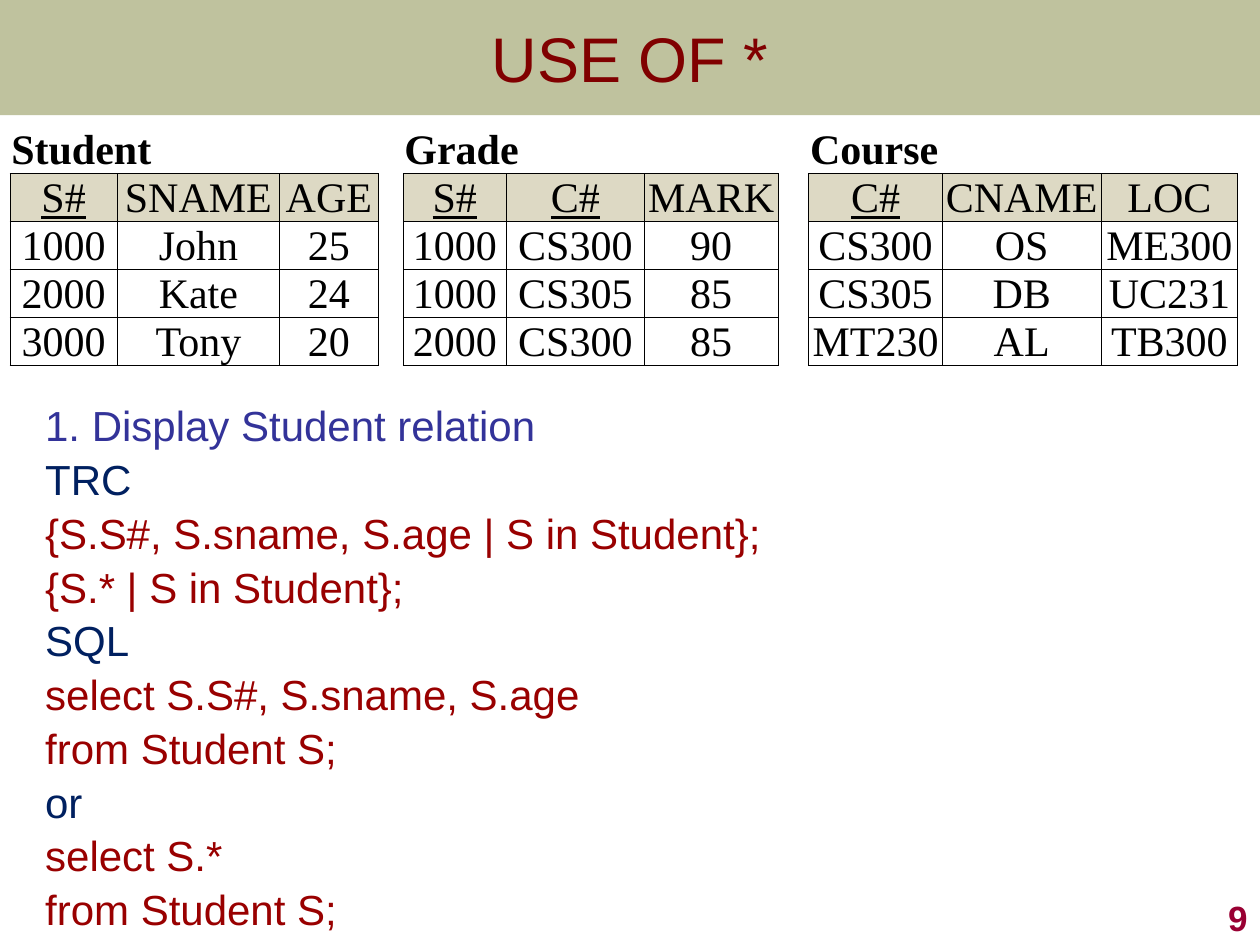
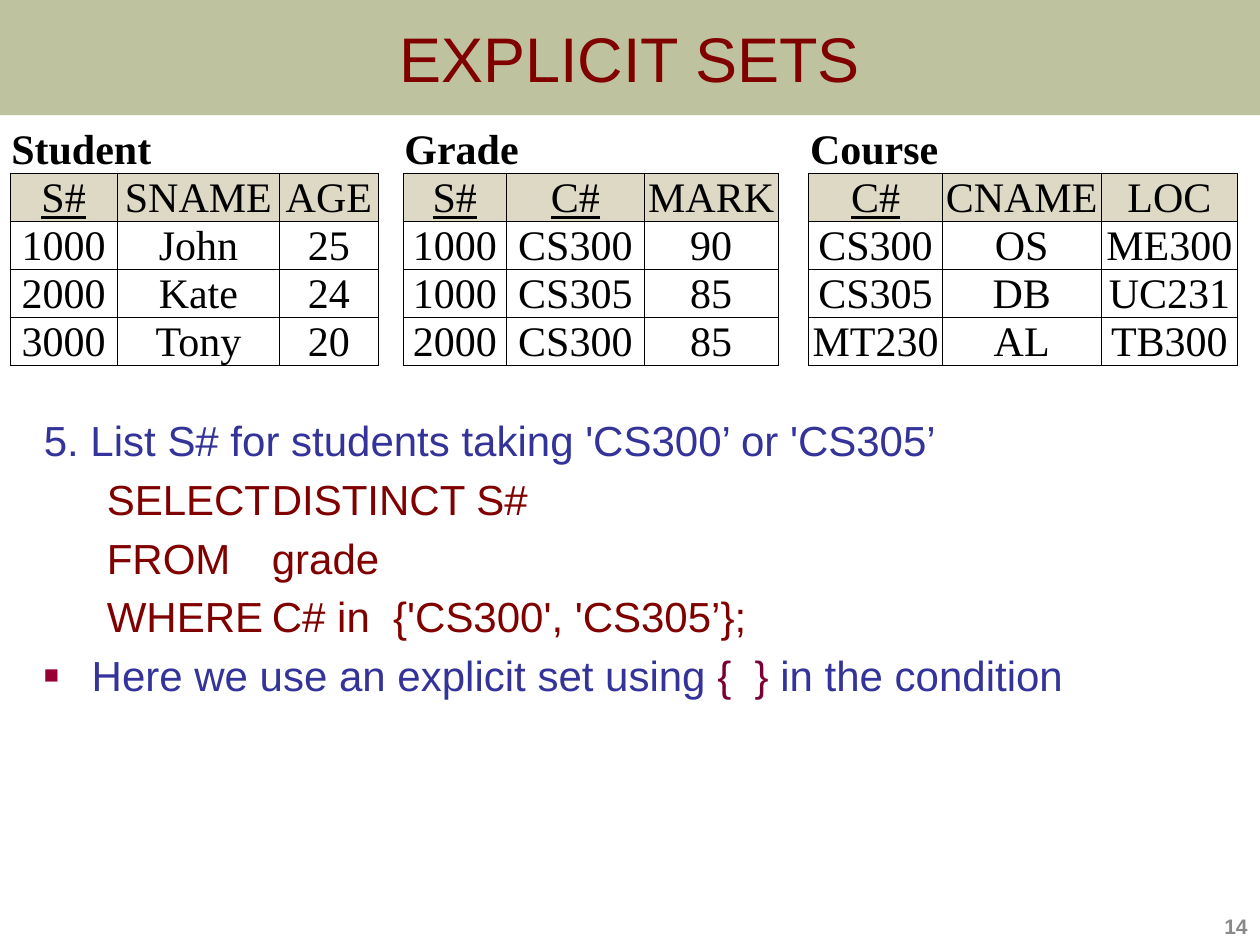
from lxml.etree import SubElement
from pptx import Presentation
from pptx.dml.color import RGBColor
from pptx.enum.shapes import MSO_SHAPE
from pptx.enum.text import MSO_ANCHOR, PP_ALIGN
from pptx.oxml.ns import qn
from pptx.util import Inches, Pt

WIDTH, HEIGHT = Inches(10), Inches(7.5)
COLORS = {
    "band": "6E7524", "title": "800000", "question": "333399",
    "language": "002060", "code": "990000", "braces": "790033",
    "accent": "990033", "muted": "898989", "header": "DDD9C4",
    "paper": "FFFFFF", "ink": "000000",
}
BODY_FONT, TABLE_FONT = "Arial", "Times New Roman"
BODY_SIZE = 24
BODY_GAP = 0.2 * BODY_SIZE

COLUMNS = [8.5, 12.9, 7.8, 2, 8.2, 10.95, 10.6, 2.45, 10.6, 12.6, 10.85]
ROW_HEIGHT = Inches(0.38)
ROW_LINE = Pt(26)
RELATIONS = [
    ("Student", ["S#"], [
        ["S#", "SNAME", "AGE"],
        ["1000", "John", "25"],
        ["2000", "Kate", "24"],
        ["3000", "Tony", "20"]]),
    ("Grade", ["S#", "C#"], [
        ["S#", "C#", "MARK"],
        ["1000", "CS300", "90"],
        ["1000", "CS305", "85"],
        ["2000", "CS300", "85"]]),
    ("Course", ["C#"], [
        ["C#", "CNAME", "LOC"],
        ["CS300", "OS", "ME300"],
        ["CS305", "DB", "UC231"],
        ["MT230", "AL", "TB300"]]),
]

STAR_LINES = [
    ("question", "1. Display Student relation"),
    ("language", "TRC"),
    ("code", "{S.S#, S.sname, S.age | S in Student};"),
    ("code", "{S.* | S in Student};"),
    ("language", "SQL"),
    ("code", "select S.S#, S.sname, S.age"),
    ("code", "from Student S;"),
    ("language", "or"),
    ("code", "select S.*"),
    ("code", "from Student S;"),
]
SET_QUESTION = "5. List S# for students taking 'CS300’ or 'CS305’"
SET_QUERY = [
    "SELECT\tDISTINCT S#",
    "FROM\tgrade",
    "WHERE\tC# in  {'CS300', 'CS305’};",
]
SET_REMARK = [
    ("question", "Here we use an explicit set using "),
    ("braces", "{  } "),
    ("question", "in the condition"),
]


def color(name):
    return RGBColor.from_string(COLORS[name])


def place(left, top, width, height):
    return (int(WIDTH * left / 100), int(HEIGHT * top / 100),
            int(WIDTH * width / 100), int(HEIGHT * height / 100))


def style(font, size, name, face=BODY_FONT, bold=False):
    font.size, font.name, font.bold = Pt(size), face, bold
    font.color.rgb = color(name)


def add_title(page, text):
    band = page.shapes.add_shape(MSO_SHAPE.RECTANGLE, *place(0, 0, 100, 12.2))
    band.shadow.inherit = False
    band.line.fill.background()
    band.fill.solid()
    band.fill.fore_color.rgb = color("band")
    tint = band.fill._xPr.find(qn("a:solidFill"))[0]
    SubElement(tint, qn("a:alpha"), val="44000")
    band.text_frame.vertical_anchor = MSO_ANCHOR.MIDDLE
    para = band.text_frame.paragraphs[0]
    para.text, para.alignment = text, PP_ALIGN.CENTER
    style(para.font, 36, "title")


def add_number(page, number, size, name):
    box = page.shapes.add_textbox(*place(79.2, 93.33, 20.8, 6.67))
    box.text_frame.word_wrap = True
    box.text_frame.vertical_anchor = MSO_ANCHOR.BOTTOM
    para = box.text_frame.paragraphs[0]
    para.text, para.alignment = number, PP_ALIGN.RIGHT
    style(para.font, size, name, bold=True)


def add_body(page, *area):
    box = page.shapes.add_textbox(*place(*area))
    frame = box.text_frame
    frame.word_wrap = True
    frame.margin_right = 0
    return frame


def add_line(frame, spans, spacing=1, margin=0, indent=0, bullet=None):
    first = not frame.paragraphs[0].runs
    para = frame.paragraphs[0] if first else frame.add_paragraph()
    properties = para._p.get_or_add_pPr()
    properties.set("marL", str(Inches(margin)))
    properties.set("indent", str(Inches(indent)))
    if bullet:
        tint = SubElement(properties, qn("a:buClr"))
        SubElement(tint, qn("a:srgbClr"), val=COLORS["accent"])
        SubElement(properties, qn("a:buSzPct"), val="60000")
        SubElement(properties, qn("a:buFont"), typeface=BODY_FONT)
        SubElement(properties, qn("a:buChar"), char=bullet)
    para.line_spacing = spacing
    para.space_before = Pt(0 if first else BODY_GAP)
    style(para.font, BODY_SIZE, spans[0][0])
    for name, text in spans:
        span = para.add_run()
        span.text = text
        if len(spans) > 1:
            span.font.color.rgb = color(name)


def set_borders(cell, sides):
    properties = cell._tc.get_or_add_tcPr()
    for position, side in enumerate("LRTB"):
        line = properties.makeelement(qn(f"a:ln{side}"), {"w": str(Pt(0.5))})
        properties.insert(position, line)
        if side in sides:
            fill = SubElement(line, qn("a:solidFill"))
            SubElement(fill, qn("a:srgbClr"), val=COLORS["ink"])
        else:
            SubElement(line, qn("a:noFill"))


def format_cell(cell, fill, sides):
    cell.margin_left = cell.margin_right = cell.margin_top = Inches(0.01)
    cell.margin_bottom = 0
    cell.vertical_anchor = MSO_ANCHOR.BOTTOM
    cell.fill.solid()
    cell.fill.fore_color.rgb = color(fill)
    set_borders(cell, sides)
    para = cell.text_frame.paragraphs[0]
    para.line_spacing = ROW_LINE
    para.font.size = Pt(12)


def write_cell(cell, text, alignment=PP_ALIGN.CENTER, bold=False, key=False):
    para = cell.text_frame.paragraphs[0]
    para.text, para.alignment = text, alignment
    style(para.font, BODY_SIZE, "ink", TABLE_FONT, bold)
    para.font.underline = key


def add_relations(page):
    depth = 1 + len(RELATIONS[0][2])
    area = place(0.8, 13.33, sum(COLUMNS), 25.33)
    table = page.shapes.add_table(depth, len(COLUMNS), *area).table
    table.first_row = table.horz_banding = False
    for column, share in zip(table.columns, COLUMNS):
        column.width = int(WIDTH * share / 100)
    for row in table.rows:
        row.height = ROW_HEIGHT
    for row in range(depth):
        for column in range(len(COLUMNS)):
            gap = column % 4 == 3
            if row == 0:
                sides = "" if gap else "B"
            else:
                sides = "LR" if gap else "LRTB"
            fill = "header" if row == 1 and not gap else "paper"
            format_cell(table.cell(row, column), fill, sides)
    for index, (name, keys, rows) in enumerate(RELATIONS):
        start = 4 * index
        table.cell(0, start).merge(table.cell(0, start + 2))
        write_cell(table.cell(0, start), name, PP_ALIGN.LEFT, bold=True)
        for row, values in enumerate(rows, 1):
            for column, value in enumerate(values, start):
                write_cell(table.cell(row, column), value,
                           key=row == 1 and value in keys)


def add_page(deck, title, number, size, name):
    page = deck.slides.add_slide(deck.slide_layouts[6])
    add_title(page, title)
    add_number(page, number, size, name)
    add_relations(page)
    return page


def main():
    deck = Presentation()
    deck.slide_width, deck.slide_height = WIDTH, HEIGHT

    star_page = add_page(deck, "USE OF *", "9", 20, "accent")
    body = add_body(star_page, 2.6, 42.27, 94.9, 56.93)
    for line in STAR_LINES:
        add_line(body, [line], spacing=0.9)

    set_page = add_page(deck, "EXPLICIT SETS", "14", 12, "muted")
    body = add_body(set_page, 2.5, 43.2, 90.7, 54.4)
    add_line(body, [("question", SET_QUESTION)])
    for clause in SET_QUERY:
        add_line(body, [("title", clause)], margin=0.81, indent=-0.31)
    add_line(body, SET_REMARK, margin=0.38, indent=-0.38, bullet="■")

    deck.save("out.pptx")


if __name__ == "__main__":
    main()
